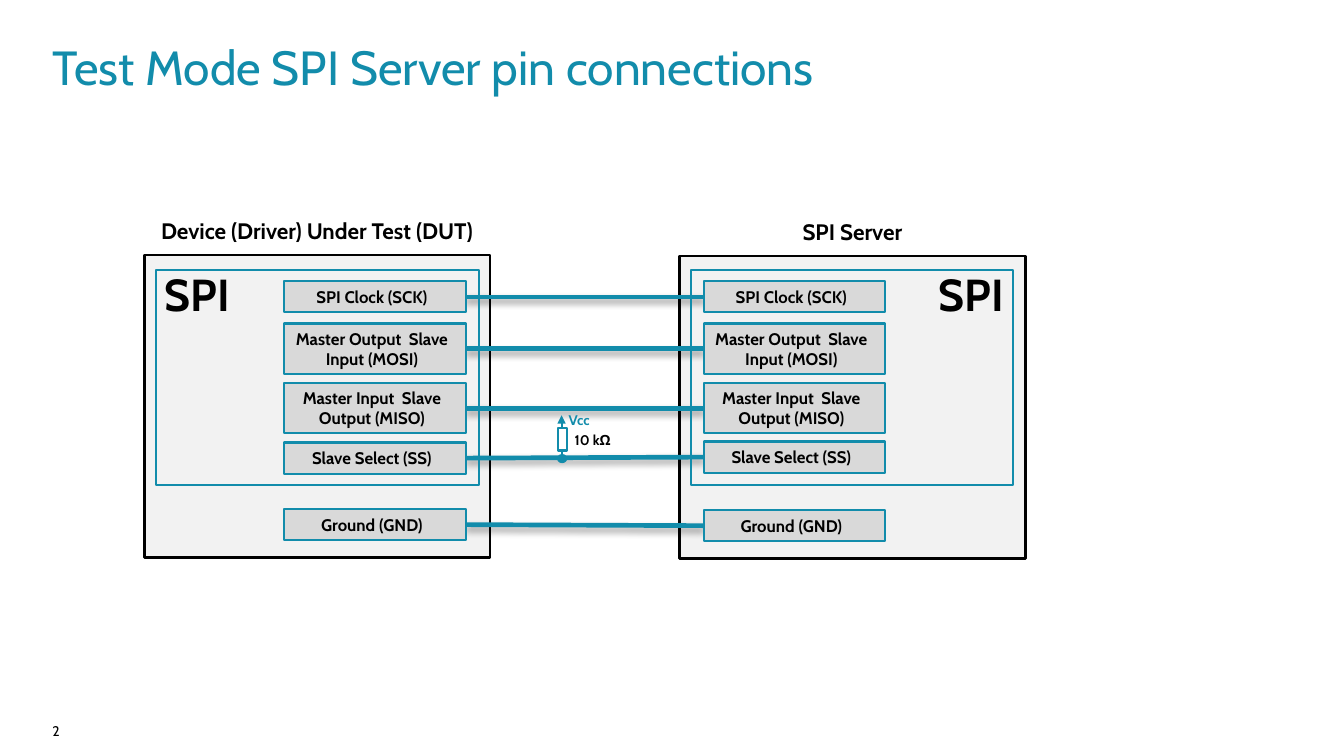
from dataclasses import dataclass
from lxml.etree import SubElement
from pptx import Presentation
from pptx.dml.color import RGBColor
from pptx.enum.shapes import MSO_CONNECTOR, MSO_SHAPE
from pptx.enum.text import MSO_ANCHOR, MSO_AUTO_SIZE, PP_ALIGN
from pptx.oxml.ns import qn
from pptx.util import Inches, Pt

# Content
TITLE = "Test Mode SPI Server pin connections"
NUMBER = "2"
BUS = "SPI"
SUPPLY, PULLUP = "Vcc", "10 kΩ"
# Each pin: name, height, top on the device, top on the server
PINS = [
    ("SPI Clock (SCK)", 0.31, 2.79, 2.79),
    ("Master Output  Slave Input (MOSI)", 0.5, 3.21, 3.21),
    ("Master Input  Slave Output (MISO)", 0.5, 3.8, 3.8),
    ("Slave Select (SS)", 0.31, 4.39, 4.38),
    ("Ground (GND)", 0.31, 5.05, 5.06),
]
# Each unit: name, left and top of frame, left of bus box, bus label and pins
UNITS = [
    ("Device (Driver) Under Test (DUT)", 1.43, 2.53, 1.55, 0.97, 2.82),
    ("SPI Server", 6.74, 2.54, 6.85, 8.65, 6.98),
]
FRAME = (3.43, 3)
BUS_BOX = (3.2, 2.13)
HEAD = (4.03, 0.47)
BUS_TAG = (1.97, 0.47)
PIN_W = 1.8
PULL_X = 5.57


@dataclass(frozen=True)
class Theme:
    font: str = "Cabin"
    teal: str = "128CAB"
    ink: str = "000000"
    pale: str = "F2F2F2"
    grey: str = "D9D9D9"
    title: float = 34.2
    bus: float = 32
    head: float = 16
    pin: float = 12
    small: float = 10
    frame: float = 2
    edge: float = 1.5
    wire: float = 3.35


THEME = Theme()
PIN_PAD = (0.1, 0.05, 0.16, 0.05)

deck = Presentation()
deck.slide_width, deck.slide_height = Inches(13.33), Inches(7.5)
slide = deck.slides.add_slide(deck.slide_layouts[6])
shapes = slide.shapes


# Helpers
def write(shape, text, size, color=THEME.ink, bold=True, align=PP_ALIGN.CENTER,
          anchor=MSO_ANCHOR.MIDDLE, pad=(0.1, 0.05, 0.1, 0.05), wrap=True):
    frame = shape.text_frame
    frame.word_wrap = wrap
    frame.auto_size = MSO_AUTO_SIZE.NONE
    frame.vertical_anchor = anchor
    (frame.margin_left, frame.margin_top,
     frame.margin_right, frame.margin_bottom) = map(Inches, pad)
    line = frame.paragraphs[0]
    line.text = text
    line.alignment = align
    font = line.font
    font.name, font.size, font.bold = THEME.font, Pt(size), bold
    font.color.rgb = RGBColor.from_string(color)


def box(left, top, width, height, fill=None, edge=None, weight=THEME.edge,
        kind=MSO_SHAPE.RECTANGLE):
    shape = shapes.add_shape(kind, *map(Inches, (left, top, width, height)))
    shape.shadow.inherit = False
    if fill:
        shape.fill.solid()
        shape.fill.fore_color.rgb = RGBColor.from_string(fill)
    else:
        shape.fill.background()
    if edge:
        shape.line.color.rgb = RGBColor.from_string(edge)
        shape.line.width = Pt(weight)
    else:
        shape.line.fill.background()
    return shape


def label(left, top, size, text, points):
    shape = box(left, top, *size, kind=MSO_SHAPE.ROUNDED_RECTANGLE)
    write(shape, text, points)


def note(left, top, width, height, text, size, color=THEME.ink, bold=False,
         wrap=True, right=0):
    shape = shapes.add_textbox(*map(Inches, (left, top, width, height)))
    write(shape, text, size, color, bold, PP_ALIGN.LEFT, MSO_ANCHOR.TOP,
          (0, 0, right, 0), wrap)


def link(x1, y1, x2, y2, weight=THEME.edge, shade=False, arrow=False):
    line = shapes.add_connector(MSO_CONNECTOR.STRAIGHT,
                                *map(Inches, (x1, y1, x2, y2)))
    line.line.color.rgb = RGBColor.from_string(THEME.teal)
    line.line.width = Pt(weight)
    if arrow:
        SubElement(line.line._get_or_add_ln(), qn("a:tailEnd"), type="triangle")
    effect = SubElement(line._element.spPr, qn("a:effectLst"))
    if shade:
        cast = SubElement(effect, qn("a:outerShdw"), blurRad=str(Pt(5.2)),
                          dist=str(Pt(3)), dir="5400000", rotWithShape="0")
        tone = SubElement(cast, qn("a:srgbClr"), val=THEME.ink)
        SubElement(tone, qn("a:alpha"), val="40000")


# Title and slide number
note(0.52, 7.17, 1.43, 0.26, NUMBER, THEME.small, right=0.1)
note(0.52, 0.37, 12.2, 0.63, TITLE, THEME.title, THEME.teal)

# Unit frames with their headings
for name, left, top, _, tag_x, _ in UNITS:
    mid = left + FRAME[0] / 2
    label(mid - HEAD[0] / 2, top - 0.48, HEAD, name, THEME.head)
    box(left, top, *FRAME, THEME.pale, THEME.ink, THEME.frame)
    label(tag_x, 2.68, BUS_TAG, BUS, THEME.bus)

# Wires from device pins to server pins
start, end = UNITS[0][-1] + PIN_W, UNITS[1][-1]
for _, high, *tops in PINS:
    y1, y2 = (top + high / 2 for top in tops)
    link(start, y1, end, y2, THEME.wire, shade=True)

# Pins and bus boxes
for side, (_, _, _, bus_x, _, pin_x) in enumerate(UNITS):
    for name, high, *tops in PINS:
        pin = box(pin_x, tops[side], PIN_W, high, THEME.grey, THEME.teal)
        write(pin, name, THEME.pin, pad=PIN_PAD)
    box(bus_x, 2.68, *BUS_BOX, edge=THEME.teal)

# Pull-up resistor on the slave select wire
box(PULL_X - 0.04, 4.25, 0.09, 0.22, edge=THEME.teal)
link(PULL_X, 4.47, PULL_X, 4.53)
link(PULL_X, 4.25, PULL_X, 4.12, arrow=True)
note(5.7, 4.28, 0.41, 0.17, PULLUP, THEME.small, bold=True, wrap=False)
note(5.64, 4.08, 0.41, 0.17, SUPPLY, THEME.small, THEME.teal, True, False)
box(PULL_X - 0.04, 4.51, 0.09, 0.08, THEME.teal, THEME.teal, 0.75,
    MSO_SHAPE.OVAL)

deck.save("out.pptx")
